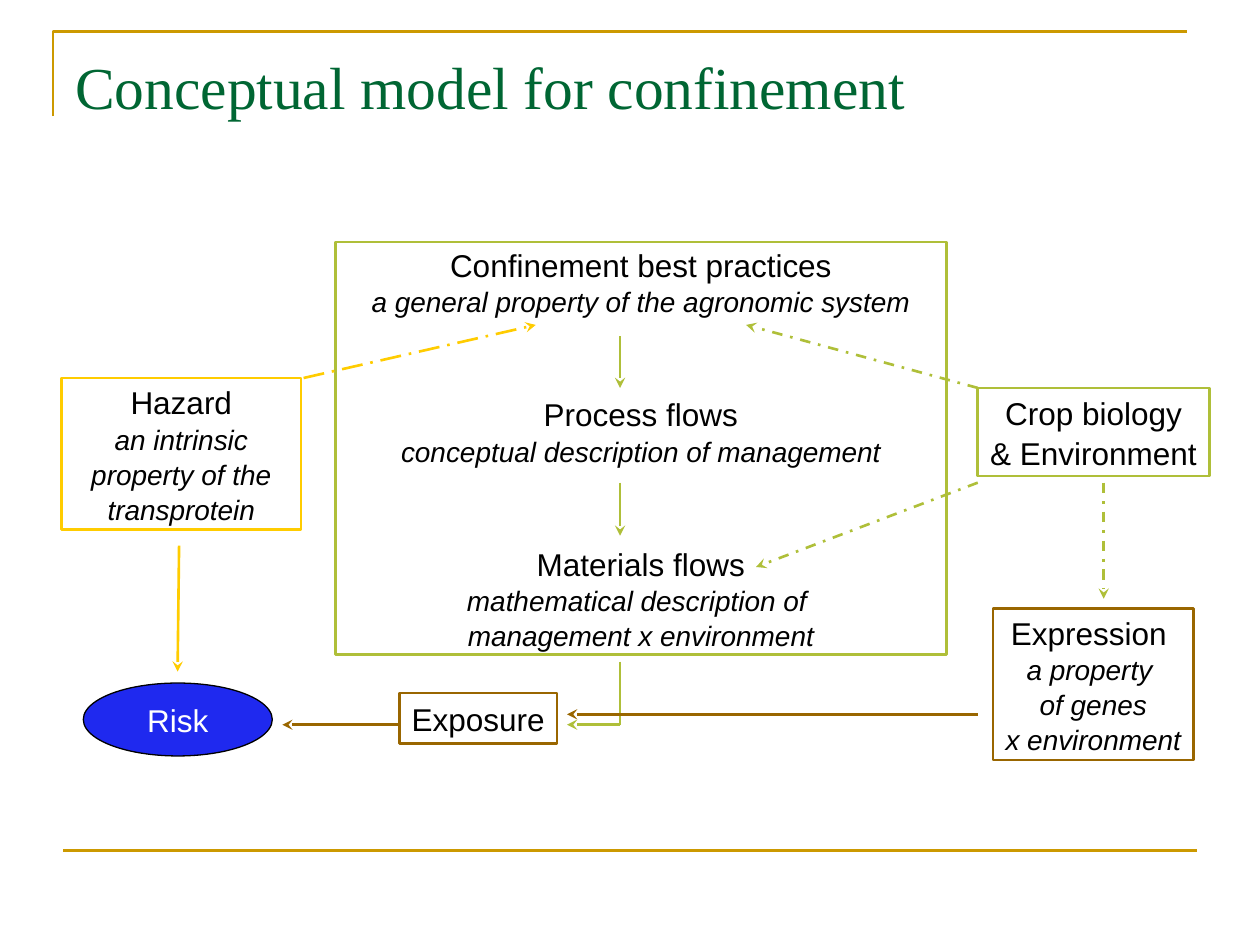
"""Build the slide with the conceptual model for confinement."""
import lxml.etree
import pptx
import pptx.dml.color
import pptx.enum.dml
import pptx.enum.shapes
import pptx.enum.text
import pptx.oxml.ns
import pptx.util

Cm = pptx.util.Cm
Pt = pptx.util.Pt
SHAPE = pptx.enum.shapes.MSO_SHAPE
DASH = pptx.enum.dml.MSO_LINE
GOLD, GREEN, YELLOW, BROWN = "CC9900", "AFBF39", "FFCC00", "996600"
BLACK, WHITE, BLUE, TITLE_GREEN = "000000", "FFFFFF", "1F29EF", "006633"


def paint(color_format, color):
    """Set a colour from a hex string."""
    color_format.rgb = pptx.dml.color.RGBColor.from_string(color)


def add_text(paragraph, text, size, color, font="Arial", italic=False):
    """Add one formatted run to a paragraph."""
    run = paragraph.add_run()
    run.text = text
    run.font.name = font
    run.font.size = Pt(size)
    run.font.italic = italic
    paint(run.font.color, color)


presentation = pptx.Presentation()
presentation.slide_width = Cm(25.4)
presentation.slide_height = Cm(19.05)
slide = presentation.slides.add_slide(presentation.slide_layouts[6])

builder = slide.shapes.build_freeform(Cm(1.07), Cm(2.34))
builder.add_line_segments([(Cm(1.07), Cm(0.64)), (Cm(23.93), Cm(0.64))], close=False)
corner = builder.convert_to_shape()
corner.shadow.inherit = False
corner.fill.background()
corner.line.width = Pt(1.5)
paint(corner.line.color, GOLD)

title = slide.shapes.add_textbox(Cm(1.27), Cm(0.76), Cm(22.86), Cm(3.18))
title.text_frame.word_wrap = True
title.text_frame.margin_top = Cm(0.25)
add_text(title.text_frame.paragraphs[0], "Conceptual model for confinement",
         34, TITLE_GREEN, "Times New Roman")

# Each box holds groups of a heading followed by its italic lines.
boxes = [
    (SHAPE.RECTANGLE, 19.71, 7.82, 4.67, 1.78, GREEN, None, [["Crop biology"], ["& Environment"]], 0),
    (SHAPE.RECTANGLE, 6.76, 4.88, 12.32, 8.31, GREEN, None, [
        ["Confinement best practices", "a general property of the agronomic system"],
        ["Process flows", "conceptual description of management"],
        ["Materials flows", "mathematical description of ", "management x environment"]], 43),
    (SHAPE.RECTANGLE, 1.24, 7.62, 4.83, 3.05, YELLOW, None,
     [["Hazard", "an intrinsic", "property of the", "transprotein"]], 0),
    (SHAPE.RECTANGLE, 20.02, 12.27, 4.04, 3.05, BROWN, None,
     [["Expression ", "a property ", "of genes", "x environment"]], 0),
    (SHAPE.RECTANGLE, 8.05, 13.97, 3.18, 1.02, BROWN, None, [["Exposure"]], 0),
    (SHAPE.OVAL, 1.68, 13.77, 3.81, 1.47, BLACK, BLUE, [["Risk"]], 0),
]
for kind, left, top, width, height, color, fill, groups, gap in boxes:
    shape = slide.shapes.add_shape(kind, Cm(left), Cm(top), Cm(width), Cm(height))
    shape.shadow.inherit = False
    shape.line.width = Pt(0.75 if fill else 1.5)
    paint(shape.line.color, color)
    if fill:
        shape.fill.solid()
        paint(shape.fill.fore_color, fill)
    else:
        shape.fill.background()
    frame = shape.text_frame
    frame.word_wrap = False
    frame.vertical_anchor = pptx.enum.text.MSO_ANCHOR.MIDDLE
    paragraph = frame.paragraphs[0]
    for group_index, group in enumerate(groups):
        for line_index, text in enumerate(group):
            if group_index or line_index:
                paragraph = frame.add_paragraph()
            paragraph.alignment = pptx.enum.text.PP_ALIGN.CENTER
            paragraph.line_spacing = 1.04
            if group_index and not line_index:
                paragraph.space_before = Pt(gap)
            add_text(paragraph, text, 16 if line_index else 18,
                     WHITE if fill else BLACK, italic=line_index > 0)

lines = [
    (1.27, 17.15, 24.13, 17.15, GOLD, None, False),
    (19.71, 9.73, 15.24, 11.43, GREEN, DASH.DASH_DOT, True),
    (12.5, 6.78, 12.5, 7.82, GREEN, None, True),
    (12.5, 9.73, 12.5, 10.8, GREEN, None, True),
    (12.5, 13.34, 12.5, 14.61, GREEN, None, False),
    (19.71, 14.4, 11.43, 14.4, BROWN, None, True),
    (12.5, 14.61, 11.43, 14.61, GREEN, None, True),
    (19.71, 7.82, 15.04, 6.55, GREEN, DASH.DASH_DOT, True),
    (6.12, 7.62, 10.8, 6.55, YELLOW, DASH.LONG_DASH_DOT, True),
    (3.61, 11, 3.58, 13.54, YELLOW, None, True),
    (8.03, 14.61, 5.69, 14.61, BROWN, None, True),
    (22.25, 9.73, 22.25, 12.07, GREEN, DASH.DASH_DOT, True),
]
for start_x, start_y, end_x, end_y, color, dash, arrow in lines:
    connector = slide.shapes.add_connector(
        pptx.enum.shapes.MSO_CONNECTOR.STRAIGHT, Cm(start_x), Cm(start_y), Cm(end_x), Cm(end_y))
    connector.line.width = Pt(1.5)
    paint(connector.line.color, color)
    if dash:
        connector.line.dash_style = dash
    properties = connector._element.spPr
    if arrow:
        outline = properties.find(pptx.oxml.ns.qn("a:ln"))
        lxml.etree.SubElement(outline, pptx.oxml.ns.qn("a:tailEnd"), type="stealth")
    lxml.etree.SubElement(properties, pptx.oxml.ns.qn("a:effectLst"))

presentation.save("out.pptx")
